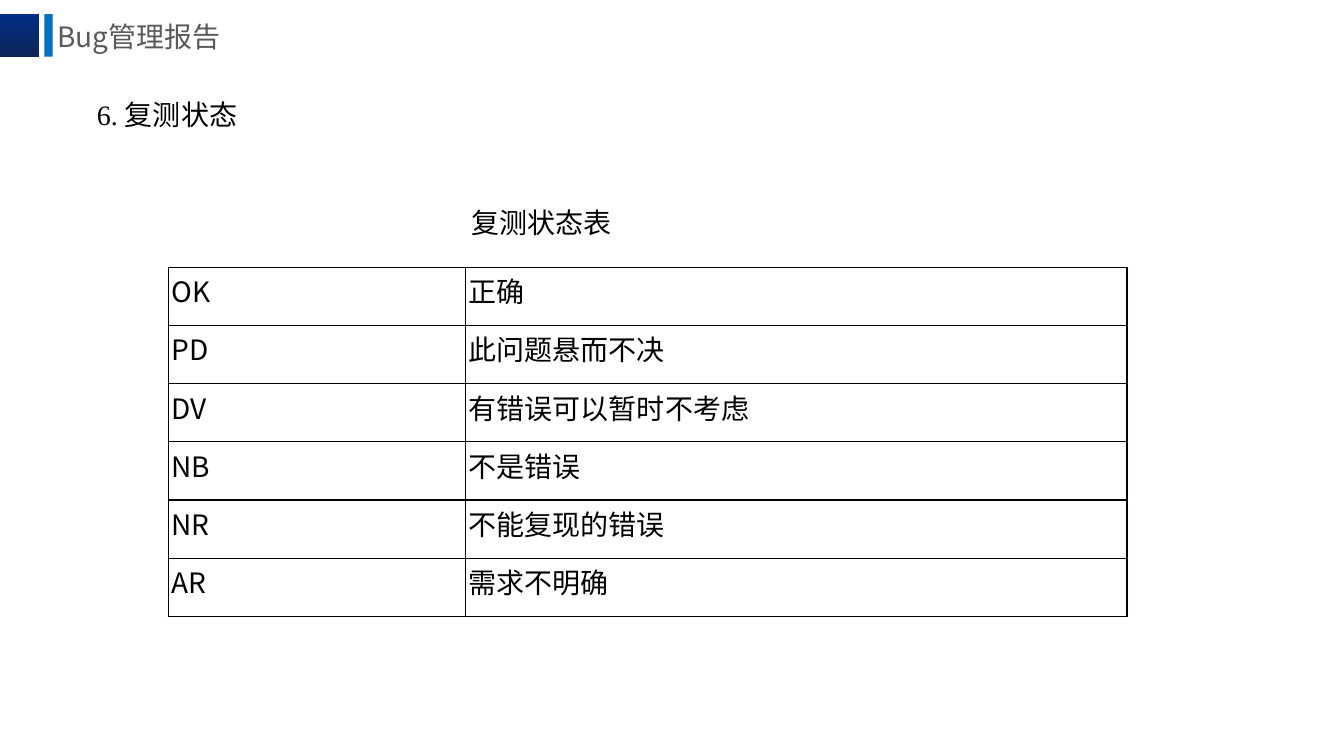
from dataclasses import dataclass

from lxml import etree
from pptx import Presentation
from pptx.dml.color import RGBColor
from pptx.enum.shapes import MSO_SHAPE
from pptx.enum.text import MSO_ANCHOR, MSO_AUTO_SIZE, PP_ALIGN
from pptx.oxml.ns import qn
from pptx.util import Pt

RECT = MSO_SHAPE.RECTANGLE
TOP, MIDDLE = MSO_ANCHOR.TOP, MSO_ANCHOR.MIDDLE
NO_FIT = MSO_AUTO_SIZE.NONE
LEFT, CENTER = PP_ALIGN.LEFT, PP_ALIGN.CENTER


@dataclass(frozen=True)
class Theme:
    sans: str = "Noto Sans CJK SC"
    serif: str = "Times New Roman"
    size: float = 20
    title: str = "595959"
    text: str = "000000"
    border: str = "080000"
    border_width: float = 1
    navy: tuple = ("012D86", "0E2557")
    blue: str = "0070C0"


@dataclass(frozen=True)
class Box:
    left: float
    top: float
    width: float
    height: float

    def lengths(self) -> tuple:
        return Pt(self.left), Pt(self.top), Pt(self.width), Pt(self.height)


@dataclass(frozen=True)
class Bar:
    box: Box
    colors: tuple


@dataclass(frozen=True)
class Label:
    text: str
    box: Box
    align: PP_ALIGN


THEME = Theme()
TITLE_BOX = Box(33.84, 4.32, 234.72, 43.92)
BARS = (
    Bar(Box(-0.72, 10.08, 28.8, 30.5), THEME.navy),
    Bar(Box(31.68, 10.08, 6, 30.5), (THEME.blue,)),
)
LABELS = (
    Label("6. 复测状态", Box(38.16, 66.24, 400.32, 31.5), LEFT),
    Label("复测状态表", Box(156.24, 143.28, 437.04, 31.5), CENTER),
)
LABEL_INDENT = 24
STATES = (
    ("OK", "正确"),
    ("PD", "此问题悬而不决"),
    ("DV", "有错误可以暂时不考虑"),
    ("NB", "不是错误"),
    ("NR", "不能复现的错误"),
    ("AR", "需求不明确"),
)
COLUMNS = (212.4, 472.32)
ROW_HEIGHT = 41.6
TABLE_BOX = Box(120.24, 190.8, sum(COLUMNS), ROW_HEIGHT * len(STATES))
CELL_MARGIN = 2.16


def write(tf, text: str, font: str, color: str, align: PP_ALIGN = LEFT):
    p = tf.paragraphs[0]
    p.alignment = align
    r = p.add_run()
    r.text = text
    for name, value in {"name": font, "size": Pt(THEME.size), "bold": False}.items():
        setattr(r.font, name, value)
    r.font.color.rgb = RGBColor.from_string(color)
    etree.SubElement(r.font._element, qn("a:ea"), typeface=THEME.sans)
    return p


def add_title(slide, text: str) -> None:
    sp = slide.shapes.title
    sp.left, sp.top, sp.width, sp.height = TITLE_BOX.lengths()
    tf = sp.text_frame
    frame = {"word_wrap": True, "auto_size": NO_FIT, "vertical_anchor": MIDDLE}
    for name, value in frame.items():
        setattr(tf, name, value)
    write(tf, text, THEME.sans, THEME.title)


def add_bar(slide, bar: Bar) -> None:
    sp = slide.shapes.add_shape(RECT, *bar.box.lengths())
    sp.shadow.inherit = False
    sp.line.fill.background()
    if len(bar.colors) == 1:
        sp.fill.solid()
        sp.fill.fore_color.rgb = RGBColor.from_string(bar.colors[0])
        return
    sp.fill.gradient()
    sp.fill.gradient_angle = 270
    for stop, color in zip(sp.fill.gradient_stops, bar.colors):
        stop.color.rgb = RGBColor.from_string(color)


def add_label(slide, label: Label) -> None:
    tf = slide.shapes.add_textbox(*label.box.lengths()).text_frame
    tf.word_wrap = True
    p = write(tf, label.text, THEME.serif, THEME.text, label.align)
    p._p.get_or_add_pPr().set("indent", str(Pt(LABEL_INDENT)))


def add_borders(cell) -> None:
    """Draw all four cell edges; they must come before the cell fill."""
    tc_pr = cell._tc.get_or_add_tcPr()
    for side in ("a:lnL", "a:lnR", "a:lnT", "a:lnB"):
        ln = etree.SubElement(tc_pr, qn(side), w=str(Pt(THEME.border_width)))
        fill = etree.SubElement(ln, qn("a:solidFill"))
        etree.SubElement(fill, qn("a:srgbClr"), val=THEME.border)


def add_state_table(slide) -> None:
    table = slide.shapes.add_table(
        len(STATES), len(COLUMNS), *TABLE_BOX.lengths()
    ).table
    table.first_row = table.horz_banding = False
    for column, width in zip(table.columns, COLUMNS):
        column.width = Pt(width)
    margins = ("margin_left", "margin_right", "margin_top", "margin_bottom")
    cell_format = dict.fromkeys(margins, Pt(CELL_MARGIN)) | {"vertical_anchor": TOP}
    for row, state in zip(table.rows, STATES):
        row.height = Pt(ROW_HEIGHT)
        for cell, text in zip(row.cells, state):
            for name, value in cell_format.items():
                setattr(cell, name, value)
            add_borders(cell)
            cell.fill.background()
            write(cell.text_frame, text, THEME.sans, THEME.text)


def main() -> None:
    prs = Presentation()
    prs.slide_width, prs.slide_height = Pt(960), Pt(540)
    slide = prs.slides.add_slide(prs.slide_layouts[5])
    for bar in BARS:
        add_bar(slide, bar)
    add_title(slide, "Bug管理报告")
    for label in LABELS:
        add_label(slide, label)
    add_state_table(slide)
    prs.save("out.pptx")


if __name__ == "__main__":
    main()
